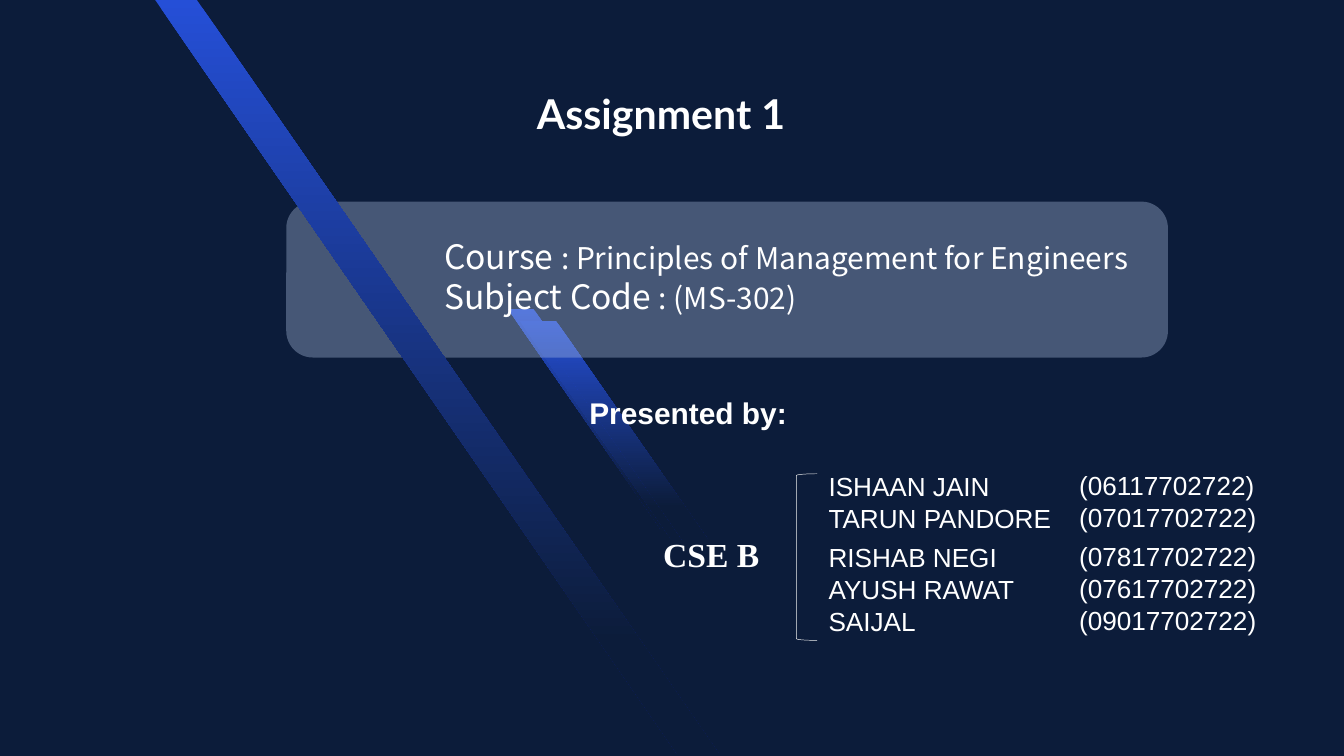
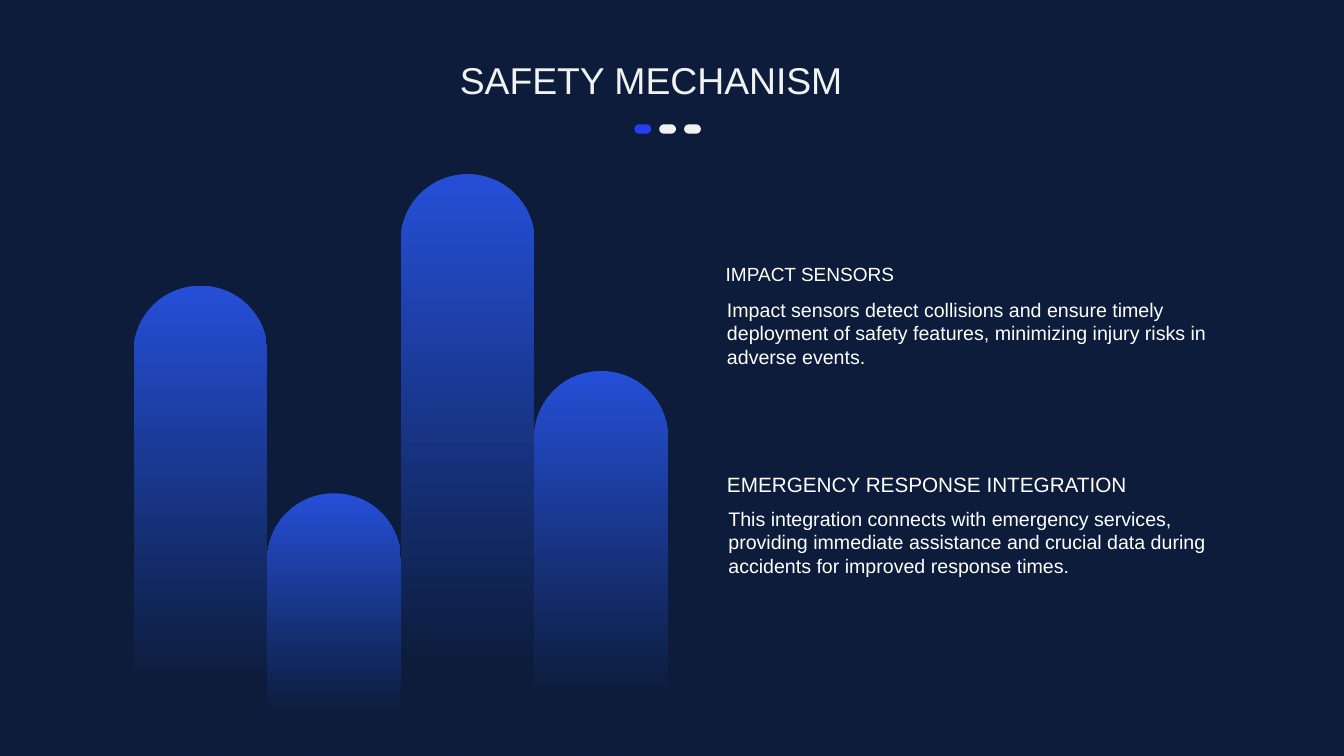
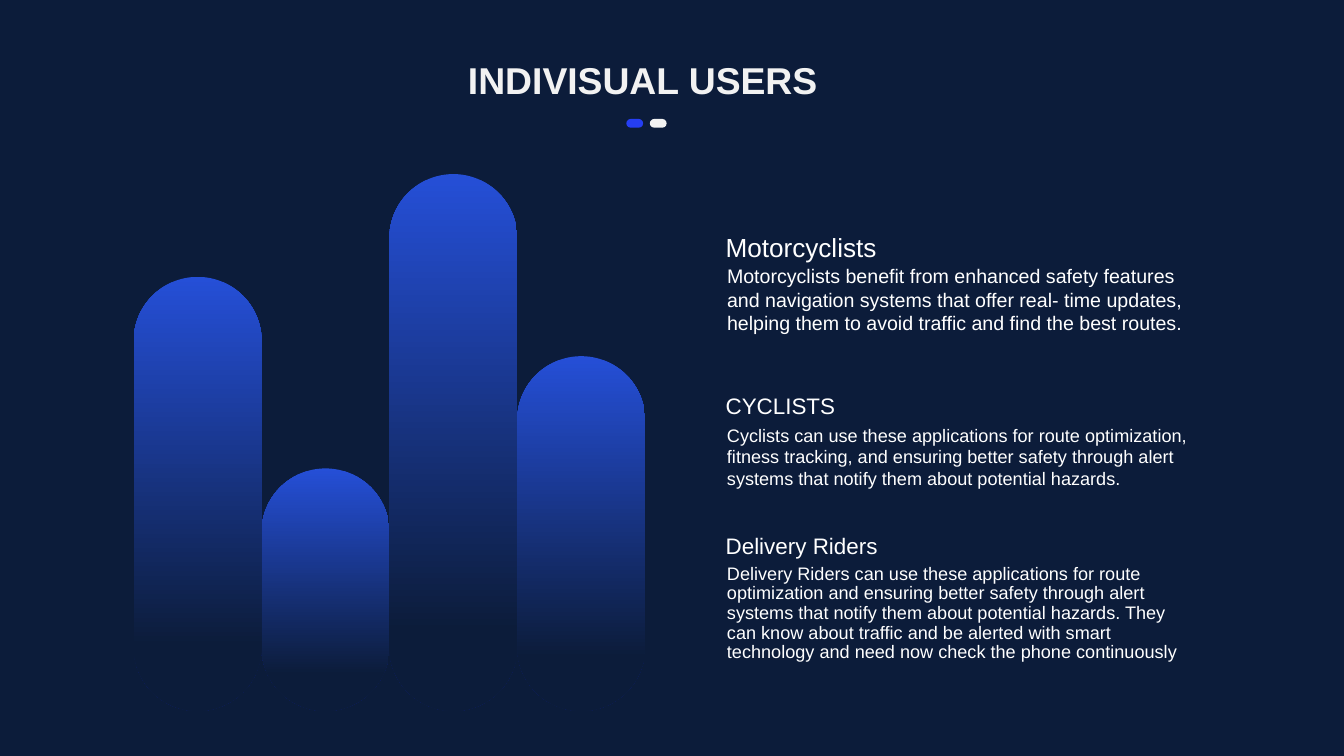
from lxml import etree
from pptx import Presentation
from pptx.dml.color import RGBColor
from pptx.enum.shapes import MSO_SHAPE
from pptx.enum.text import MSO_ANCHOR, MSO_AUTO_SIZE, PP_ALIGN
from pptx.oxml.ns import qn
from pptx.util import Inches, Pt

ROUNDED = MSO_SHAPE.ROUNDED_RECTANGLE
BRACKET = MSO_SHAPE.LEFT_BRACKET
LEFT, CENTER = PP_ALIGN.LEFT, PP_ALIGN.CENTER
TOP = MSO_ANCHOR.TOP
NO_AUTOFIT = MSO_AUTO_SIZE.NONE

NAVY = RGBColor(0x0C, 0x1C, 0x3A)
BLUE = RGBColor(0x25, 0x4F, 0xD7)
ACCENT = RGBColor(0x25, 0x3E, 0xF3)
MIST = RGBColor(0xB4, 0xC7, 0xE7)
OFF_WHITE = RGBColor(0xF2, 0xF2, 0xF2)
WHITE = RGBColor(0xFF, 0xFF, 0xFF)

BODY_FONT = "Arial"
LINE_HEIGHT = 1.2  # line pitch as a multiple of the text size
TITLE_LAYOUT, LIST_LAYOUT = 5, 1
BARS_LEFT = 1.99

# Each member: name, number, space before the row in points
MEMBERS = [
    ("ISHAAN JAIN", "(06117702722)", 0),
    ("TARUN PANDORE", "(07017702722)", 0.7),
    ("RISHAB NEGI", "(07817702722)", 8.2),
    ("AYUSH RAWAT", "(07617702722)", 0.7),
    ("SAIJAL", "(09017702722)", 0.7),
]
LIST_GAP = 42.5
NAME_INDENT = 3.56

# Each topic: heading (text, left, top, size), description (text, left, top, width, size, spacing)
SAFETY_TOPICS = [
    (("IMPACT SENSORS", 10.7, 3.86, 20.4),
     ("Impact sensors detect collisions and ensure timely deployment of safety "
      "features, minimizing injury risks in adverse events.",
      10.72, 4.38, 7.44, 21, 1)),
    (("EMERGENCY RESPONSE INTEGRATION", 10.72, 6.97, 22.2),
     ("This integration connects with emergency services, providing immediate "
      "assistance and crucial data during accidents for improved response times.",
      10.74, 7.49, 7.41, 21, 1)),
]
USER_TOPICS = [
    (("Motorcyclists", 10.7, 3.39, 28),
     ("Motorcyclists benefit from enhanced safety features and navigation systems "
      "that offer real- time updates, helping them to avoid traffic and find the "
      "best routes.", 10.72, 3.88, 7.12, 21, 1)),
    (("CYCLISTS", 10.7, 5.79, 24),
     ("Cyclists can use these applications for route optimization, fitness "
      "tracking, and ensuring better safety through alert systems that notify them "
      "about potential hazards.", 10.72, 6.26, 7.1, 19.4, 1)),
    (("Delivery Riders", 10.7, 7.87, 24),
     ("Delivery Riders can use these applications for route optimization and "
      "ensuring better safety through alert systems that notify them about "
      "potential hazards. They can know about traffic and be alerted with smart "
      "technology and need now check the phone continuously",
      10.72, 8.35, 7.1, 19.4, 0.9)),
]


# Text
def write(para, text, size=28, font=BODY_FONT, color=WHITE, bold=False):
    span = para.add_run()
    span.text = text
    span.font.size = Pt(size)
    span.font.name = font
    span.font.bold = bold
    span.font.color.rgb = color


def format_para(para, size, spacing=1, align=LEFT, before=0):
    para.alignment = align
    para.line_spacing = Pt(round(size * LINE_HEIGHT * spacing, 1))
    para.space_before = Pt(before)


def prepare_frame(box):
    frame = box.text_frame
    frame.word_wrap = True
    frame.auto_size = NO_AUTOFIT
    frame.vertical_anchor = TOP
    return frame


def add_frame(page, left, top, width, height):
    return prepare_frame(page.shapes.add_textbox(*map(Inches, (left, top, width, height))))


def add_text(page, text, left, top, width, height, size, spacing=1, **style):
    para = add_frame(page, left, top, width, height).paragraphs[0]
    format_para(para, size, spacing)
    write(para, text, size=size, **style)


def place_placeholder(box, left, top, width, height):
    box.left, box.top, box.width, box.height = map(Inches, (left, top, width, height))
    box.element.getparent().append(box.element)  # bring to front
    return prepare_frame(box)


def set_title(page, text, left, top, width, height, size=40, align=CENTER, **style):
    frame = place_placeholder(page.shapes.title, left, top, width, height)
    para = frame.paragraphs[0]
    format_para(para, size, align=align)
    write(para, text, size=size, **style)


def remove_bullet(para, indent=0):
    properties = para._p.get_or_add_pPr()
    properties.set("marL", str(Inches(indent)))
    properties.set("indent", "0")
    etree.SubElement(properties, qn("a:buNone"))


# Shapes
def fade_down(shape):
    shape.fill.gradient()
    shape.fill.gradient_angle = 270
    for stop, color, position in zip(shape.fill.gradient_stops, (BLUE, NAVY), (0, 0.85)):
        stop.color.rgb = color
        stop.position = position


def add_rounded(page, left, top, width, height, color=None, corner=0.5):
    shape = page.shapes.add_shape(ROUNDED, *map(Inches, (left, top, width, height)))
    shape.adjustments[0] = corner
    shape.shadow.inherit = False
    shape.line.fill.background()
    if color is None:
        fade_down(shape)
    else:
        shape.fill.solid()
        shape.fill.fore_color.rgb = color
    return shape


def add_stripe(page, left, top, thickness, run, drop):
    corners = [(left, top), (left + thickness, top),
               (left + thickness + run, top + drop), (left + run, top + drop)]
    points = [(Inches(x), Inches(y)) for x, y in corners]
    builder = page.shapes.build_freeform(*points[0])
    builder.add_line_segments(points[1:], close=True)
    stripe = builder.convert_to_shape()
    stripe.shadow.inherit = False
    stripe.line.fill.background()
    fade_down(stripe)


def add_card(page):
    card = add_rounded(page, 4.26, 3, 13.12, 2.32, MIST, corner=0.17)
    color = card.element.spPr.find(qn("a:solidFill"))[0]
    etree.SubElement(color, qn("a:alpha"), val="35000")


def add_bracket(page):
    bracket = page.shapes.add_shape(BRACKET, *map(Inches, (11.85, 7.05, 0.31, 2.48)))
    bracket.shadow.inherit = False
    bracket.fill.background()
    bracket.line.color.rgb = OFF_WHITE
    bracket.line.width = Pt(0.5)


def add_dots(page, left, top, pitch, count, height):
    for index in range(count):
        add_rounded(page, left + index * pitch, top, 0.25, height,
                    OFF_WHITE if index else ACCENT)


def add_bars(page, right, base, tops):
    width = (right - BARS_LEFT) / len(tops)
    for index, top in enumerate(tops):
        add_rounded(page, BARS_LEFT + index * width, top, width, base - top)


# Slides
def add_course(page):
    frame = add_frame(page, 6.51, 3.46, 12.19, 1.31)
    lines = [("Course ", ": Principles of Management for Engineers"),
             ("Subject Code ", ": (MS-302)")]
    for index, (label, value) in enumerate(lines):
        para = frame.add_paragraph() if index else frame.paragraphs[0]
        format_para(para, 36)
        write(para, label, size=36, font="Noto Sans CJK SC")
        write(para, value, size=32, font="Noto Sans CJK SC")


def add_members(page):
    names = place_placeholder(page.placeholders[1], 8.67, 5.82, 7.2, 4.27)
    heading = names.paragraphs[0]
    format_para(heading, 32)
    remove_bullet(heading)
    write(heading, "Presented by:", size=32, bold=True)
    numbers = add_frame(page, 15.96, 6.94, 3.2, 2.8)
    for index, (name, number, before) in enumerate(MEMBERS):
        para = names.add_paragraph()
        format_para(para, 28, before=before if index else LIST_GAP)
        remove_bullet(para, NAME_INDENT)
        write(para, name)
        para = numbers.add_paragraph() if index else numbers.paragraphs[0]
        format_para(para, 28, before=before)
        write(para, number)
    add_text(page, "CSE B", 9.77, 7.9, 2, 0.7, 36, font="Times New Roman", bold=True)


def build_cover(deck):
    page = deck.slides.add_slide(deck.slide_layouts[LIST_LAYOUT])
    for left, top in ((7.56, 4.6), (7.73, 4.77), (7.89, 4.77)):
        add_stripe(page, left, top, 0.38, 2.27, 3.27)
    add_card(page)
    add_stripe(page, 2.31, 0, 0.62, 7.79, 11.25)
    add_members(page)
    set_title(page, "Assignment 1", 7.89, 1.27, 7.64, 0.84,
              size=44, align=LEFT, font="Lato", bold=True)
    add_bracket(page)
    add_course(page)


def build_topics(deck, title, title_width, bold, topics):
    page = deck.slides.add_slide(deck.slide_layouts[TITLE_LAYOUT])
    set_title(page, title, 6.62, 0.8, title_width, 0.9, color=OFF_WHITE, bold=bold)
    for (heading, left, top, size), description in topics:
        add_text(page, heading, left, top, 6.27, 0.55, size)
        text, left, top, width, size, spacing = description
        add_text(page, text, left, top, width, 1.4, size, spacing)
    return page


def main():
    deck = Presentation()
    deck.slide_width, deck.slide_height = Inches(20), Inches(11.25)
    backdrop = deck.slide_master.background.fill
    backdrop.solid()
    backdrop.fore_color.rgb = NAVY

    build_cover(deck)

    safety = build_topics(deck, "SAFETY MECHANISM", 6.14, False, SAFETY_TOPICS)
    add_dots(safety, 9.44, 1.85, 0.37, 3, 0.14)
    add_bars(safety, 9.94, 11.25, (4.25, 7.34, 2.59, 5.52))

    users = build_topics(deck, "INDIVISUAL USERS", 5.89, True, USER_TOPICS)
    add_dots(users, 9.32, 1.77, 0.35, 2, 0.13)
    add_bars(users, 9.6, 10.58, (4.12, 6.97, 2.59, 5.3))

    deck.save("out.pptx")


if __name__ == "__main__":
    main()
